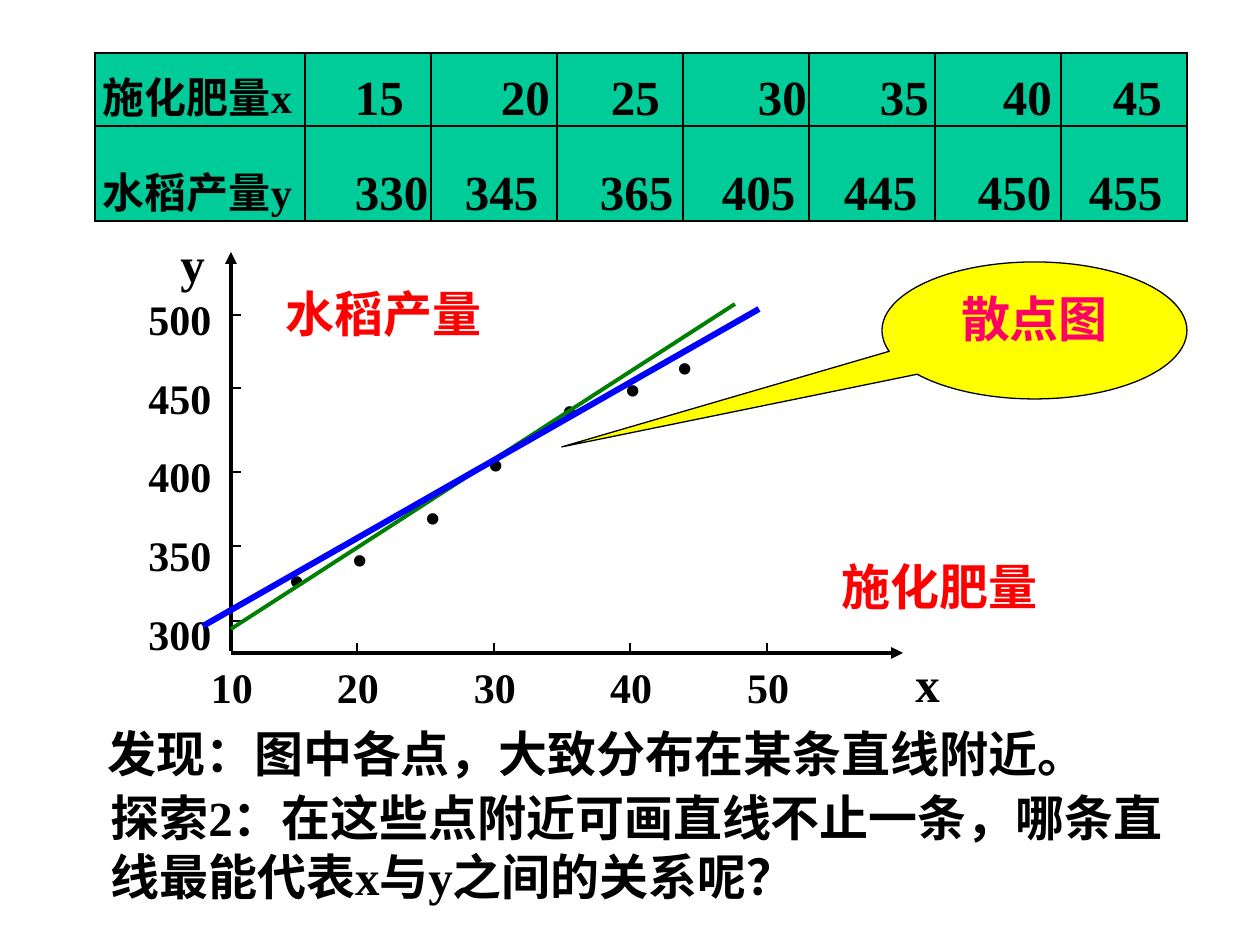
from lxml import etree
from pptx import Presentation
from pptx import util as u
from pptx.dml.color import RGBColor
from pptx.enum import shapes, text
from pptx.oxml.ns import qn

PX = 914400 / 126
FONT = "Times New Roman"
C = {"black": "000000", "red": "FF0000", "pink": "FF0066", "green": "008000",
     "blue": "0000FF", "yellow": "FFFF00", "teal": "00CC99"}

prs = Presentation()
prs.slide_width, prs.slide_height = round(1260 * PX), round(945 * PX)
s = prs.slides.add_slide(prs.slide_layouts[6])


def write(tf, lines, size, color="black", align=text.PP_ALIGN.LEFT, gap=0):
    for i, line in enumerate(lines):
        p = tf.paragraphs[0] if i == 0 else tf.add_paragraph()
        p.alignment = align
        if i:
            p.space_before = u.Pt(gap)
        r = p.add_run()
        r.text = line
        r.font.name = FONT
        r.font.size = u.Pt(size)
        r.font.bold = True
        r.font.color.rgb = RGBColor.from_string(C[color])


def line(x1, y1, x2, y2, color="black", width=0.75, arrow=False):
    c = s.shapes.add_connector(shapes.MSO_CONNECTOR.STRAIGHT,
                               *[round(v * PX) for v in (x1, y1, x2, y2)])
    c.line.color.rgb = RGBColor.from_string(C[color])
    c.line.width = u.Pt(width)
    if arrow:
        etree.SubElement(c.line._get_or_add_ln(), qn("a:tailEnd"), type="triangle")
    etree.SubElement(c._element.spPr, qn("a:effectLst"))


LEFT, CENTER = text.PP_ALIGN.LEFT, text.PP_ALIGN.CENTER
x_ticks = [231, 357, 494, 630, 767]
y_ticks = [315, 388, 472, 546, 621]
points = [(273, 525), (336, 504), (409, 462), (472, 409), (546, 355), (609, 334), (661, 312)]

boxes = [((x - 39, 655, 80, 63), [str(10 * (i + 1))], 24, "black", CENTER)
         for i, x in enumerate(x_ticks)]
boxes += [((x, y + 4, 73, 97), ["·"], 40, "black", LEFT) for x, y in points]
boxes += [
    ((136, 287, 95, 370), ["500", "450", "400", "350", "300"], 24, "black", LEFT),
    ((95, 717, 1042, 72), ["发现：图中各点，大致分布在某条直线附近。"], 28, "black", LEFT),
    ((98, 781, 1118, 131), ["探索2：在这些点附近可画直线不止一条，哪条直线最能代表x与y之间的关系呢？"],
     28, "black", LEFT),
    ((903, 647, 73, 72), ["x"], 28, "black", LEFT),
    ((168, 227, 73, 72), ["y"], 28, "black", LEFT),
    ((829, 550, 262, 72), ["施化肥量"], 28, "red", LEFT),
    ((273, 277, 242, 72), ["水稻产量"], 28, "red", LEFT),
]
for box, lines, size, color, align in boxes:
    tf = s.shapes.add_textbox(*[round(v * PX) for v in box]).text_frame
    tf.word_wrap = True
    write(tf, lines, size, color, align, gap=16.2)

rows = [
    ("施化肥量x", [15, 20, 25, 30, 35, 40, 45], [50, 70, 54, 75, 71, 68, 52]),
    ("水稻产量y", [330, 345, 365, 405, 445, 450, 455], [50, 34, 43, 39, 35, 43, 28]),
]
frame = s.shapes.add_table(2, 8, *[round(v * PX) for v in (95, 53, 1092, 168)])
tbl = frame.table
tbl.first_row = tbl.horz_banding = False
for i, col in enumerate(tbl.columns):
    col.width = round((126 if i else 210) * PX)
for row, height, (label, values, indents) in zip(tbl.rows, [73, 95], rows):
    row.height = round(height * PX)
    for i, (cell, value, indent) in enumerate(zip(row.cells, [label] + values, [8] + indents)):
        cell.margin_left = round(indent * PX)
        cell.margin_right = cell.margin_top = cell.margin_bottom = 0
        cell.vertical_anchor = text.MSO_ANCHOR.BOTTOM
        write(cell.text_frame, [str(value)], 28 if i else 24)
        tcPr = cell._tc.get_or_add_tcPr()
        for side in ("lnL", "lnR", "lnT", "lnB"):
            ln = etree.SubElement(tcPr, qn("a:" + side), w=str(u.Pt(0.75)))
            fill = etree.SubElement(ln, qn("a:solidFill"))
            etree.SubElement(fill, qn("a:srgbClr"), val=C["black"])
        cell.fill.solid()
        cell.fill.fore_color.rgb = RGBColor.from_string(C["teal"])

line(231, 651, 231, 252, width=2.25, arrow=True)
line(231, 653, 903, 653, width=2.25, arrow=True)
for x in x_ticks[1:]:
    line(x, 653, x, 643)
for y in y_ticks:
    line(231, y, 241, y)
line(231, 629, 735, 304, "green", 2.25)

sp = s.shapes.add_shape(shapes.MSO_SHAPE.OVAL_CALLOUT,
                        *[round(v * PX) for v in (882, 262, 305, 137)])
sp.adjustments[0], sp.adjustments[1] = -1.55, 0.85
sp.shadow.inherit = False
sp.fill.solid()
sp.fill.fore_color.rgb = RGBColor.from_string(C["yellow"])
sp.line.color.rgb = RGBColor.from_string(C["black"])
sp.line.width = u.Pt(0.75)
sp.text_frame.word_wrap = True
sp.text_frame.vertical_anchor = text.MSO_ANCHOR.TOP
write(sp.text_frame, ["散点图"], 28, "pink", CENTER)

line(203, 626, 759, 309, "blue", 3.5)

prs.save("out.pptx")
